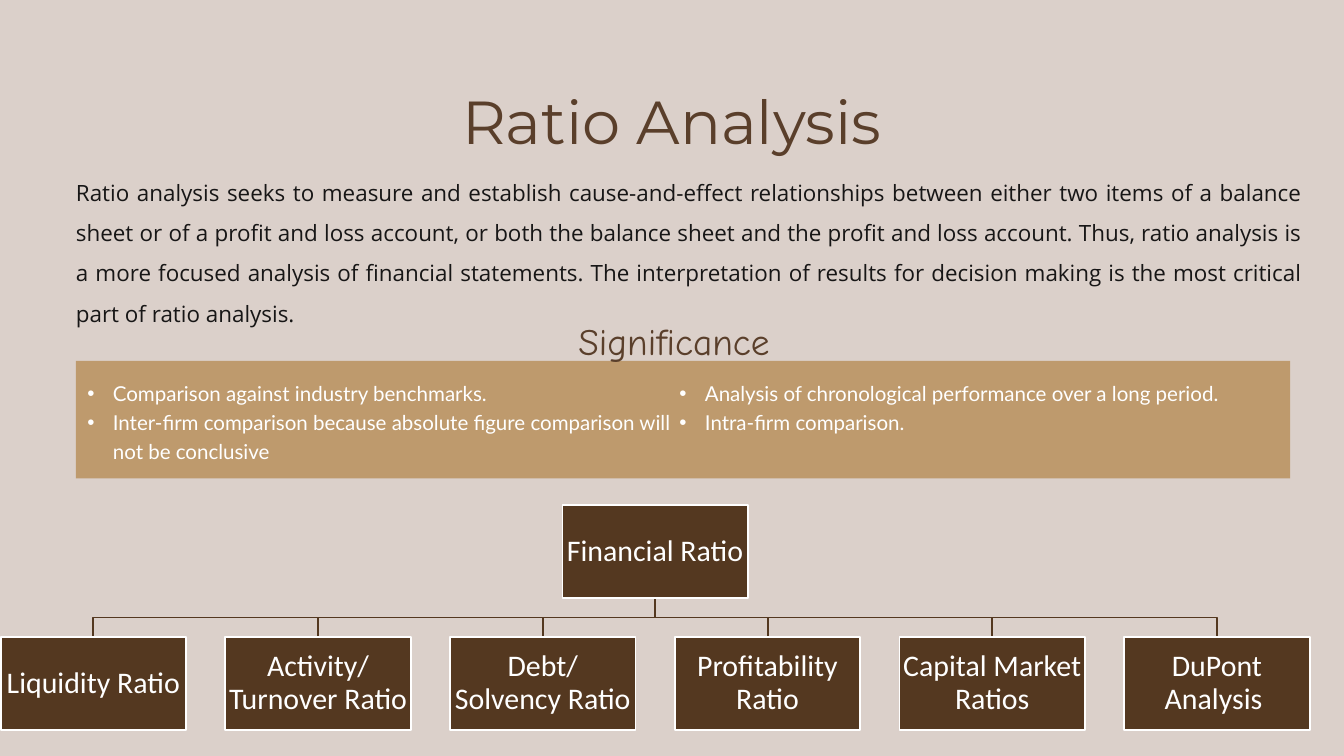
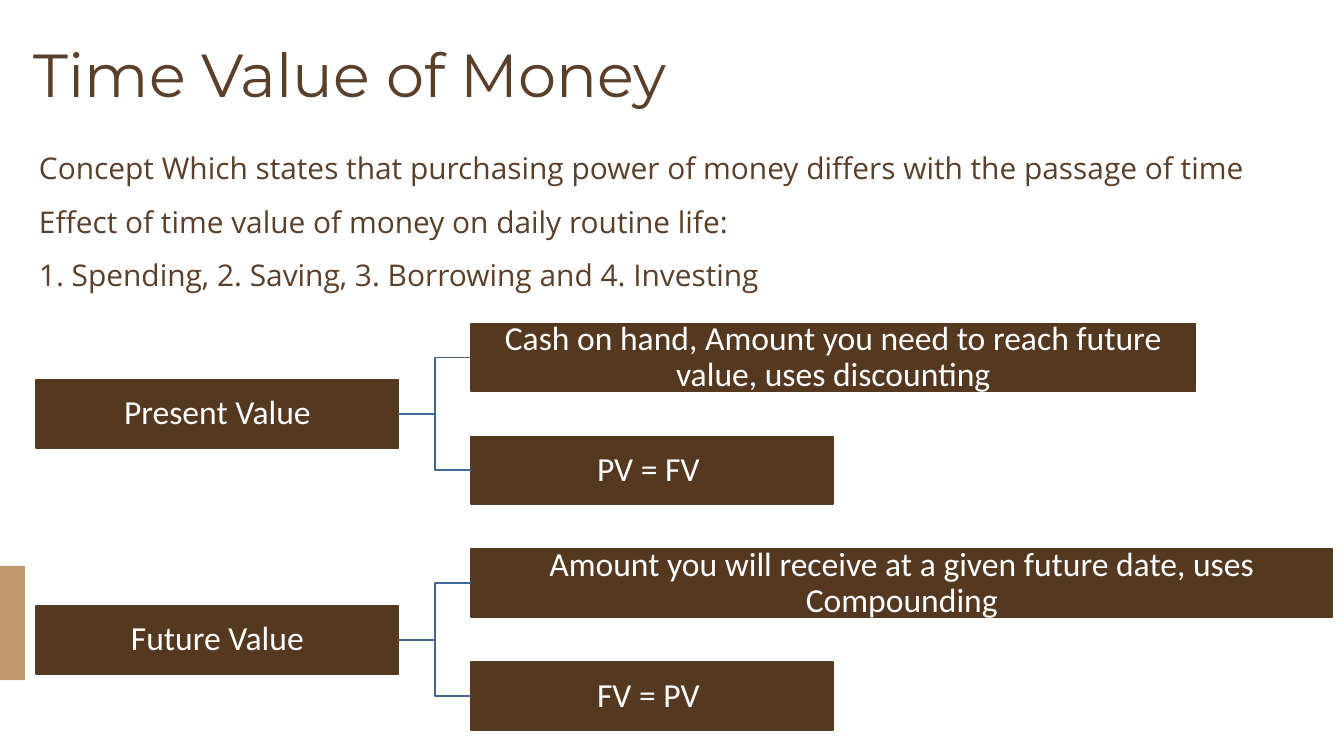
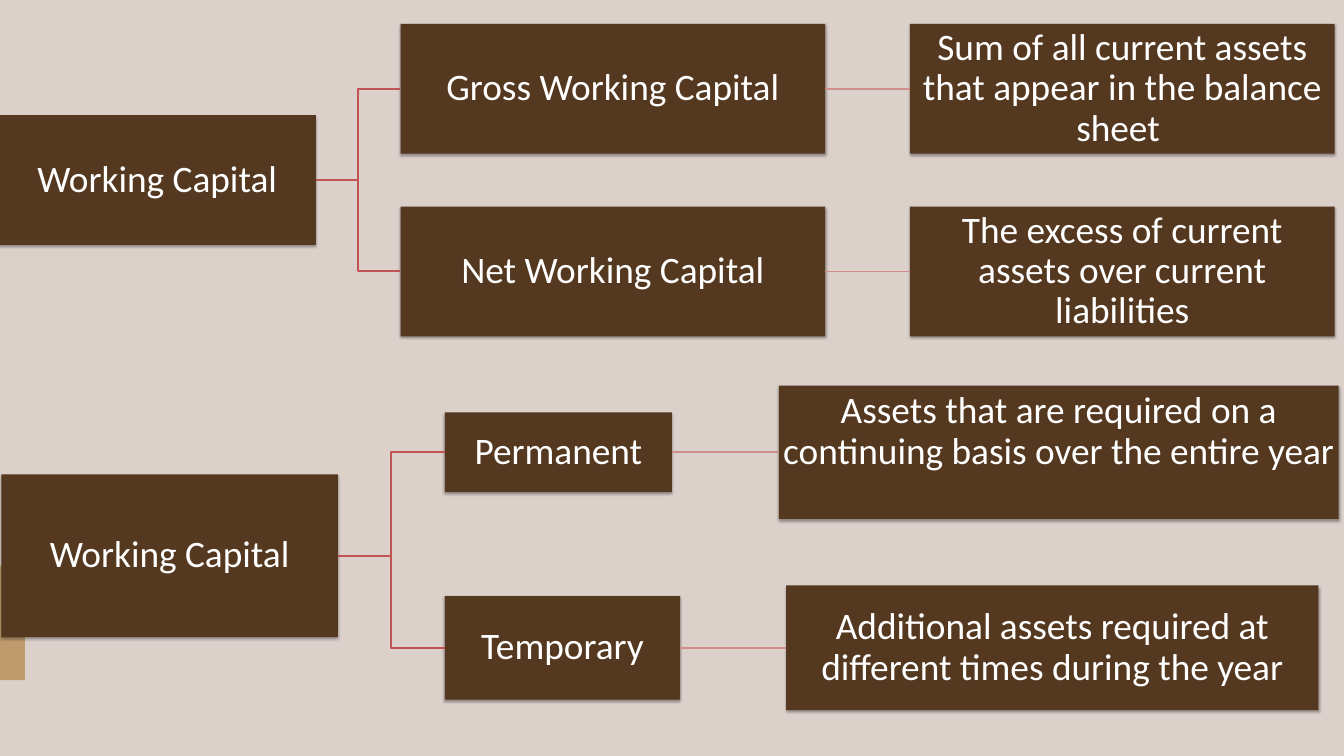
from lxml import etree
from pptx import Presentation
from pptx.dml.color import RGBColor
from pptx.enum import shapes, text
from pptx.oxml import ns
from pptx.util import Inches, Pt

SAND = RGBColor(0xDB, 0xD0, 0xCA)
WHITE = RGBColor(0xFF, 0xFF, 0xFF)
TAN = RGBColor(0xBE, 0x9A, 0x6D)
DARK_BROWN = RGBColor(0x54, 0x38, 0x20)
TITLE_BROWN = RGBColor(0x5A, 0x3F, 0x2B)
INK = RGBColor(0x17, 0x16, 0x16)
BLUE = RGBColor(0x3F, 0x67, 0x97)
RED = RGBColor(0xC1, 0x54, 0x52)
PINK = RGBColor(0xCF, 0x8D, 0x8C)

TITLE_ONLY, BLANK = 5, 6
LEFT, RIGHT = 1, 3  # connection sites of a rectangle
TITLE_SPACING = Pt(84.5)
ELBOW = shapes.MSO_CONNECTOR.ELBOW
STRAIGHT = shapes.MSO_CONNECTOR.STRAIGHT
ALIGN = text.PP_ALIGN


def set_values(target, values):
    for name, value in values.items():
        setattr(target, name, value)


def add_element(parent, tag, **attributes):
    return etree.SubElement(parent, ns.qn(tag), attributes)


class DeckBuilder:
    """Holds the deck style and the current slide."""

    def __init__(self):
        self.deck = Presentation()
        set_values(self.deck, {"slide_width": Inches(20), "slide_height": Inches(11.25)})

    def new_page(self, layout, background, size, margin=0.03, outline=None, shadow=False):
        """Start a slide and set the style of its diagram boxes."""
        self.page = self.deck.slides.add_slide(self.deck.slide_layouts[layout])
        self.page.background.fill.solid()
        self.page.background.fill.fore_color.rgb = background
        self.size, self.margin = size, margin
        self.outline, self.shadow = outline, shadow

    def fill_text(self, shape, paragraphs, font, size, color, align=ALIGN.LEFT, spacing=1.0,
                  margin=0, anchor=text.MSO_ANCHOR.TOP, bullet=None):
        frame = shape.text_frame
        set_values(frame, {"word_wrap": True, "auto_size": text.MSO_AUTO_SIZE.NONE,
                           "vertical_anchor": anchor})
        for side in ("left", "top", "right", "bottom"):
            setattr(frame, f"margin_{side}", Inches(margin))
        for number, words in enumerate(paragraphs):
            para = frame.add_paragraph() if number else frame.paragraphs[0]
            set_values(para, {"alignment": align, "line_spacing": spacing})
            if bullet:
                props = para._p.get_or_add_pPr()
                props.set("marL", str(Inches(0.38)))
                props.set("indent", str(-Inches(0.38)))
                add_element(props, "a:buFont", typeface="Arial")
                add_element(props, "a:buChar", char=bullet)
            span = para.add_run()
            span.text = words
            for target in (para.font, span.font):
                set_values(target, {"name": font, "size": Pt(size)})
            span.font.color.rgb = color

    def title(self, words, left, top, width, height, align):
        holder = self.page.shapes.title
        set_values(holder, {"left": Inches(left), "top": Inches(top),
                            "width": Inches(width), "height": Inches(height)})
        self.fill_text(holder, [words], "Montserrat", 65, TITLE_BROWN, align, TITLE_SPACING)

    def text_box(self, paragraphs, left, top, width, height, **style):
        box = self.page.shapes.add_textbox(*map(Inches, (left, top, width, height)))
        self.fill_text(box, paragraphs, **style)
        return box

    def rectangle(self, left, top, width, height, fill):
        shape = self.page.shapes.add_shape(
            shapes.MSO_SHAPE.RECTANGLE, *map(Inches, (left, top, width, height)))
        shape.shadow.inherit = False
        shape.fill.solid()
        shape.fill.fore_color.rgb = fill
        shape.line.fill.background()
        return shape

    def side_band(self):
        self.rectangle(0, 8.42, 0.37, 1.7, TAN)

    def box(self, words, left, middle, width, height):
        """Diagram box, placed by its left edge and vertical middle."""
        shape = self.rectangle(left, middle - height / 2, width, height, DARK_BROWN)
        if self.outline:
            set_values(shape.line, {"width": Pt(2)})
            shape.line.color.rgb = self.outline
        if self.shadow:
            effects = shape._element.spPr.find(ns.qn("a:effectLst"))
            shade = add_element(effects, "a:outerShdw", blurRad=str(Pt(3.1)), dist=str(Pt(1.8)),
                                dir="5400000", rotWithShape="0")
            add_element(add_element(shade, "a:srgbClr", val="000000"), "a:alpha", val="35000")
        self.fill_text(shape, [words], "Calibri", self.size, WHITE, ALIGN.CENTER, 0.9,
                       self.margin, text.MSO_ANCHOR.MIDDLE)
        return shape

    def bent_line(self, points, color):
        """Open outline through the points."""
        start, *rest = [tuple(map(Inches, point)) for point in points]
        outline = self.page.shapes.build_freeform(*start)
        outline.add_line_segments(rest, close=False)
        shape = outline.convert_to_shape()
        shape.shadow.inherit = False
        shape.fill.background()
        shape.line.color.rgb = color
        shape.line.width = Pt(2)

    def link(self, parent, child, color, kind=ELBOW):
        """Connector from the right side of a box to the left side of the next."""
        connector = self.page.shapes.add_connector(kind, 0, 0, 0, 0)
        connector.begin_connect(parent, RIGHT)
        connector.end_connect(child, LEFT)
        connector.line.color.rgb = color
        connector.line.width = Pt(2)
        add_element(connector._element.spPr, "a:effectLst")


def ratio_analysis(builder):
    builder.new_page(TITLE_ONLY, SAND, size=32, margin=0.02, outline=WHITE)
    builder.title("Ratio Analysis", 1.89, 1.16, 16.22, 1.15, ALIGN.CENTER)
    builder.text_box(
        ["Ratio analysis seeks to measure and establish cause-and-effect relationships between "
         "either two items of a balance sheet or of a profit and loss account, or both the balance "
         "sheet and the profit and loss account. Thus, ratio analysis is a more focused analysis "
         "of financial statements. The interpretation of results for decision making is the most "
         "critical part of ratio analysis. "],
        1.13, 2.46, 18.24, 2.42, font="Open Sans", size=24, color=INK,
        align=ALIGN.JUSTIFY, spacing=1.5)

    # Significance panel with two columns
    builder.rectangle(1.13, 5.37, 18.07, 1.75, TAN)
    points = builder.text_box(
        ["Comparison against industry benchmarks.",
         "Inter-firm comparison because absolute figure comparison will not be conclusive",
         "Analysis of chronological performance over a long period.",
         "Intra-firm comparison."],
        1.3, 5.61, 17.62, 1.3, font="Lato", size=22, color=WHITE, spacing=Pt(30.8), bullet="•")
    points.text_frame._txBody.bodyPr.set("numCol", "2")
    builder.text_box(["Significance"], 1.92, 4.23, 16.22, 1.03, font="Comic Neue", size=40,
                     color=TITLE_BROWN, align=ALIGN.CENTER, spacing=TITLE_SPACING)

    # Tree of ratios: one bent branch from the root to each ratio
    ratios = ["Liquidity Ratio", "Activity/ Turnover Ratio", "Debt/ Solvency Ratio",
              "Profitability Ratio", "Capital Market Ratios", "DuPont Analysis "]
    width, height, step, first = 2.76, 1.38, 16.72 / 5, 0.01
    root_bottom, bend, row_top = 8.9, 9.19, 9.48
    lefts = [first + step * i for i in range(len(ratios))]
    center = (lefts[0] + lefts[-1] + width) / 2
    for left in lefts:
        drop = left + width / 2
        builder.bent_line([(center, root_bottom), (center, bend), (drop, bend), (drop, row_top)],
                          DARK_BROWN)
    builder.box("Financial Ratio", center - width / 2, root_bottom - height / 2, width, height)
    for ratio, left in zip(ratios, lefts):
        builder.box(ratio, left, row_top + height / 2, width, height)


def time_value(builder):
    builder.new_page(TITLE_ONLY, WHITE, size=36, outline=DARK_BROWN)
    builder.side_band()
    builder.title("Time Value of Money", 0.5, 0.46, 15.92, 1.19, ALIGN.LEFT)
    builder.text_box(
        ["Concept Which states that purchasing power of money differs with the passage of time",
         "Effect of time value of money on daily routine life:",
         "1. Spending, 2. Saving, 3. Borrowing and 4. Investing"],
        0.58, 1.96, 18.75, 2.34, font="Open Sans", size=32, color=TITLE_BROWN, spacing=1.5)

    # Each value branches into its meaning and its formula
    values = [
        ("Present Value", "PV = FV ", 10.78,
         "Cash on hand, Amount you need to reach future value, uses discounting"),
        ("Future Value", "FV = PV ", 12.82,
         "Amount you will receive at a given future date, uses Compounding"),
    ]
    width, height, offset = 5.39, 1.01, 0.84
    for row, (name, formula, meaning_width, meaning) in enumerate(values):
        middle = 6.16 + 4 * offset * row
        parent = builder.box(name, 0.54, middle, width, height)
        for child in (builder.box(meaning, 7.01, middle - offset, meaning_width, height),
                      builder.box(formula, 7.01, middle + offset, width, height)):
            builder.link(parent, child, BLUE)


def working_capital(builder):
    builder.new_page(BLANK, SAND, size=40, shadow=True)
    builder.side_band()

    # Each branch: middle, (name, left, width, height), (meaning, left, width, height)
    trees = [
        ((-0.02, 2.68, 4.72, 1.93), [
            (1.32, ("Gross Working Capital", 5.96, 6.32, 1.93),
             ("Sum of all current assets that appear in the balance sheet ", 13.54, 6.32, 1.93)),
            (4.04, ("Net Working Capital", 5.96, 6.32, 1.93),
             ("The excess of current assets over current liabilities", 13.54, 6.32, 1.93))]),
        ((0.02, 8.27, 5.01, 2.42), [
            (6.73, ("Permanent", 6.62, 3.38, 1.19),
             ("Assets that are required on a continuing basis over the entire year",
              11.59, 8.33, 1.98)),
            (9.64, ("Temporary", 6.62, 3.5, 1.54),
             ("Additional assets required at different times during the year",
              11.7, 7.92, 1.86))]),
    ]
    meanings = {}
    for root_place, branches in trees:
        root = builder.box("Working Capital", *root_place)
        for middle, (name, left, *size), (meaning, meaning_left, *meaning_size) in branches:
            kind = builder.box(name, left, middle, *size)
            meanings[name] = builder.box(meaning, meaning_left, middle, *meaning_size)
            builder.link(root, kind, RED)
            builder.link(kind, meanings[name], PINK, STRAIGHT)
    # This text sits half a line above the middle
    meanings["Permanent"].text_frame.margin_bottom = Inches(0.64)


def main():
    builder = DeckBuilder()
    for build_page in (ratio_analysis, time_value, working_capital):
        build_page(builder)
    builder.deck.save("out.pptx")


if __name__ == "__main__":
    main()
